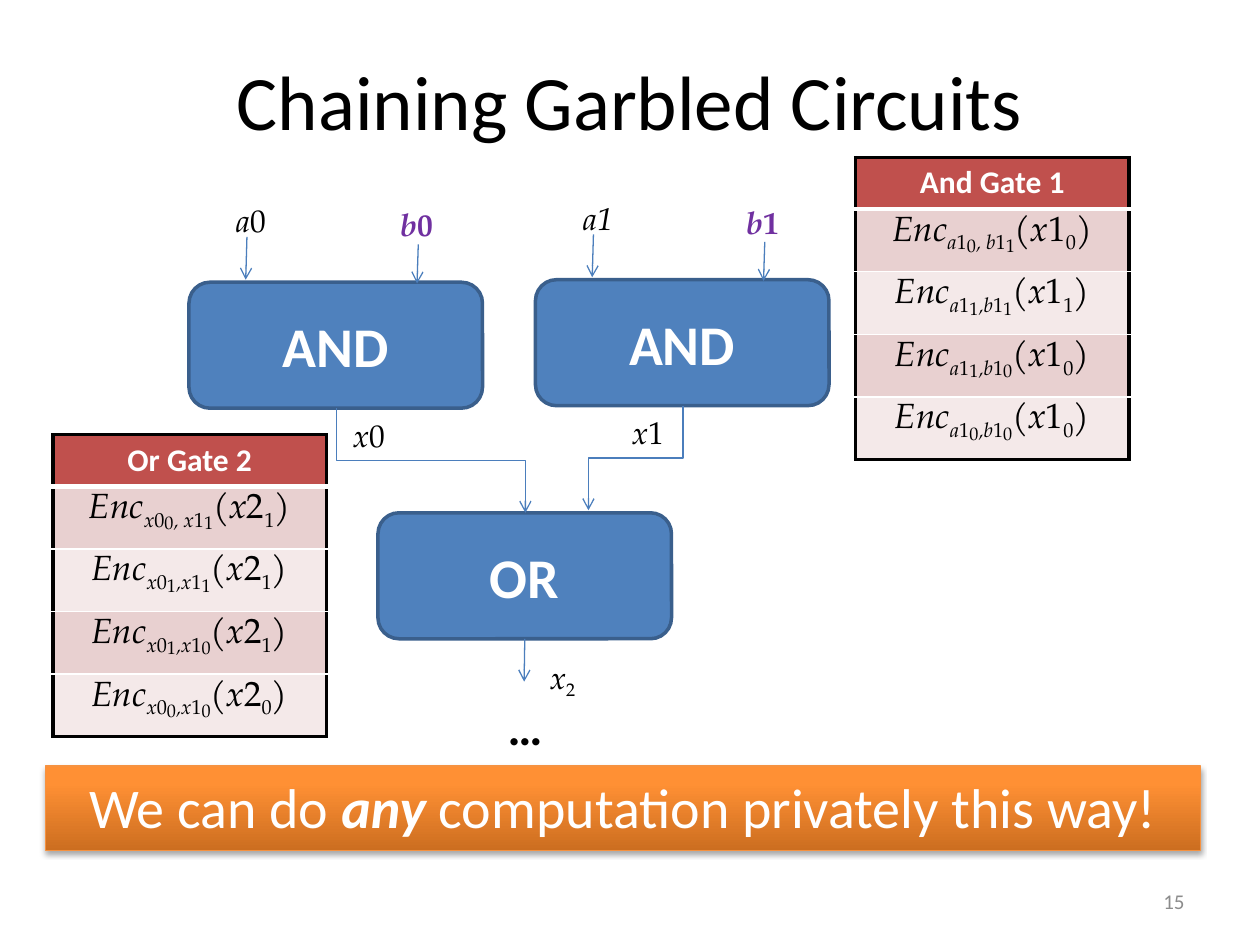
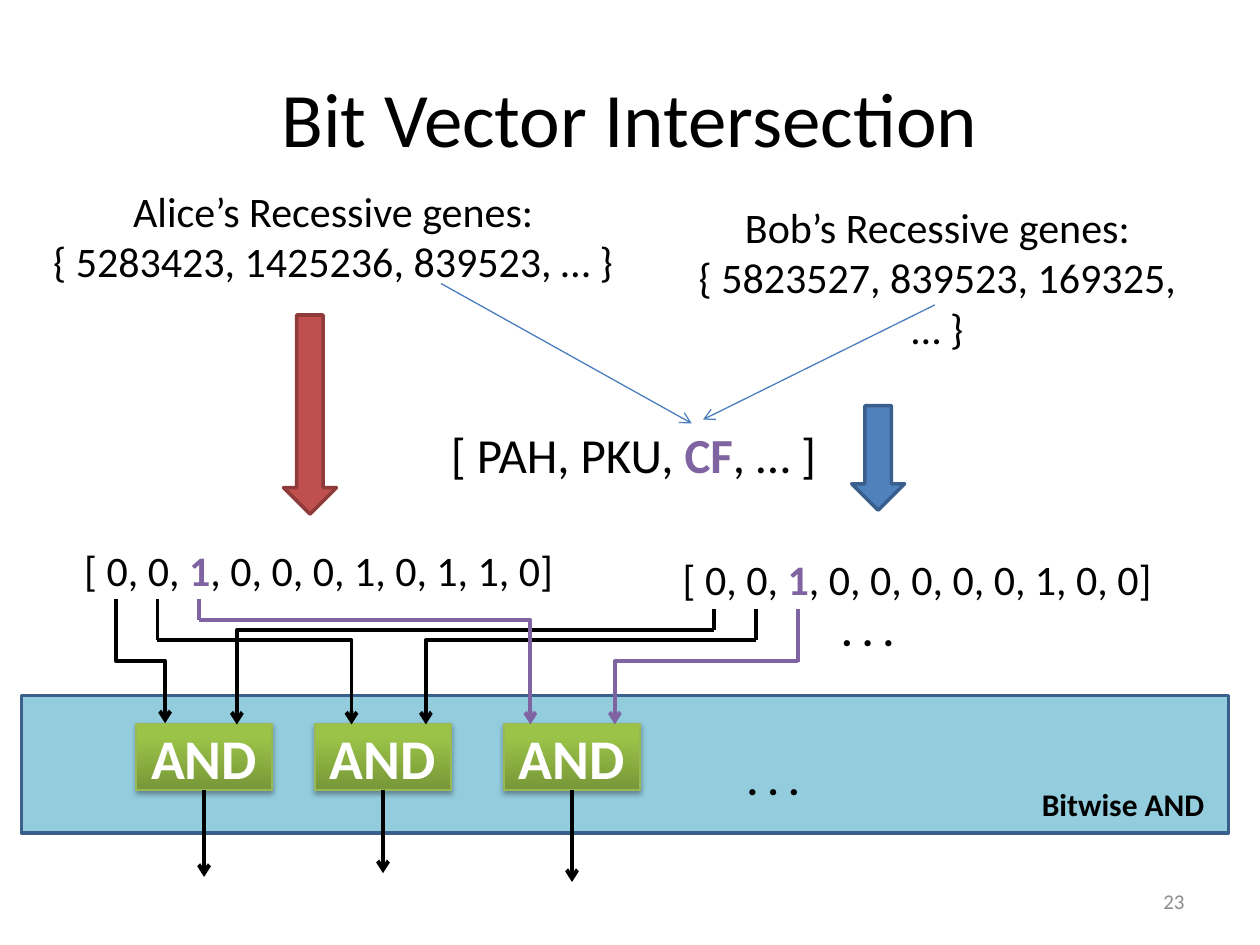
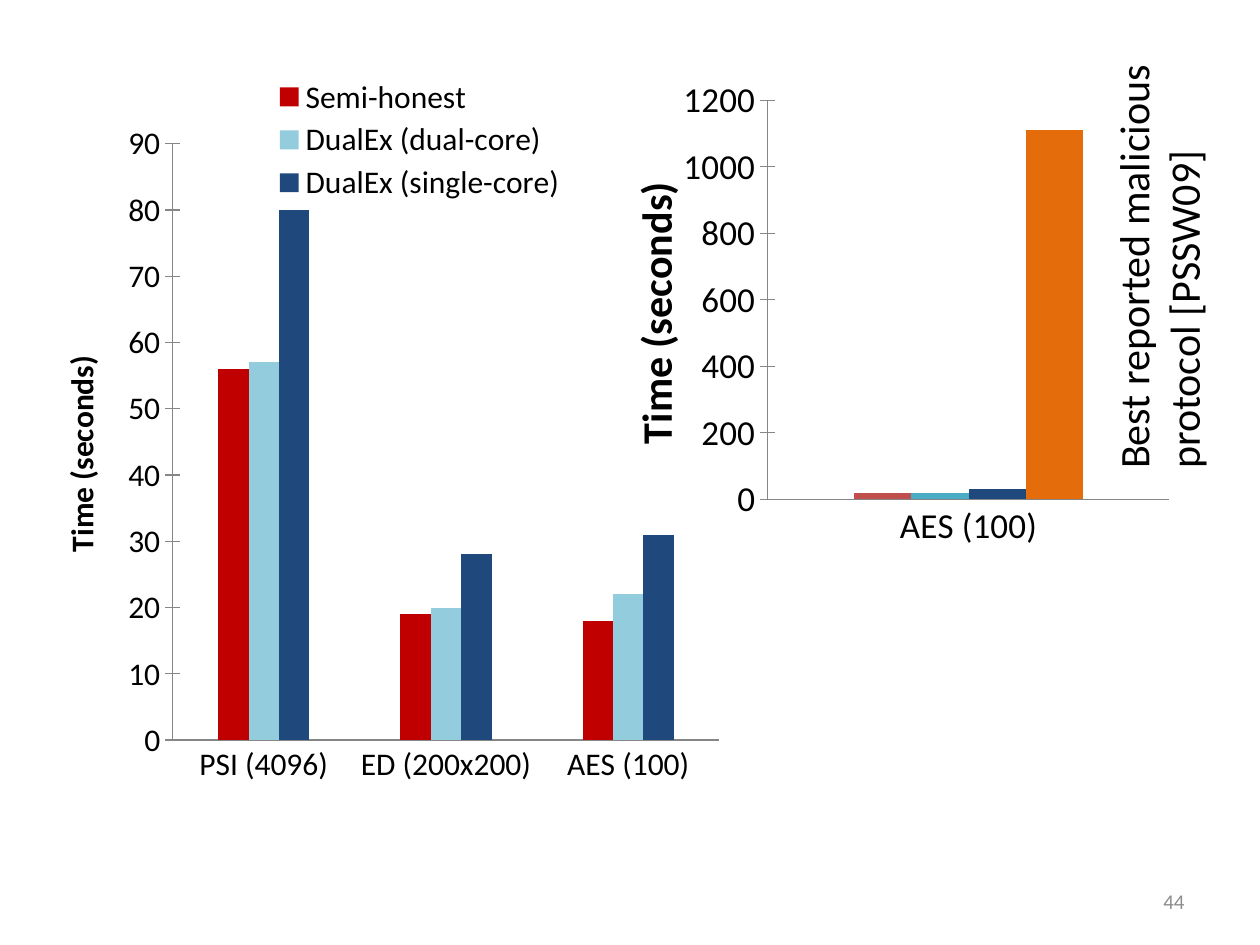
from dataclasses import dataclass
from typing import NamedTuple

from lxml.etree import SubElement
from pptx import Presentation
from pptx.chart.data import CategoryChartData
from pptx.dml.color import RGBColor
from pptx.enum.chart import XL_CHART_TYPE, XL_LEGEND_POSITION, XL_TICK_MARK
from pptx.enum.shapes import MSO_CONNECTOR, MSO_SHAPE
from pptx.enum.text import MSO_ANCHOR, MSO_AUTO_SIZE, PP_ALIGN
from pptx.oxml.ns import qn
from pptx.util import Inches, Pt

# Enum members
COLUMN = XL_CHART_TYPE.COLUMN_CLUSTERED
KEY_RIGHT = XL_LEGEND_POSITION.RIGHT
NO_TICK, CROSS = XL_TICK_MARK.NONE, XL_TICK_MARK.CROSS
STRAIGHT, ELBOW = MSO_CONNECTOR.STRAIGHT, MSO_CONNECTOR.ELBOW
RECT, ROUND, DOWN = MSO_SHAPE.RECTANGLE, MSO_SHAPE.ROUNDED_RECTANGLE, MSO_SHAPE.DOWN_ARROW
TOP, MIDDLE = MSO_ANCHOR.TOP, MSO_ANCHOR.MIDDLE
FIT, FIXED = MSO_AUTO_SIZE.SHAPE_TO_FIT_TEXT, MSO_AUTO_SIZE.NONE
LEFT, CENTER, RIGHT = PP_ALIGN.LEFT, PP_ALIGN.CENTER, PP_ALIGN.RIGHT

# Colours
BLACK, WHITE = RGBColor(0, 0, 0), RGBColor(255, 255, 255)
GREY, AXIS = RGBColor(0x8C, 0x8C, 0x8C), RGBColor(0x86, 0x86, 0x86)
BLUE, EDGE, WIRE = RGBColor(0x4F, 0x81, 0xBD), RGBColor(0x3A, 0x5F, 0x8C), RGBColor(0x4B, 0x7E, 0xBC)
RED, MAROON = RGBColor(0xC0, 0x50, 0x4D), RGBColor(0x8E, 0x3B, 0x39)
ROSE, BLUSH = RGBColor(0xE8, 0xD0, 0xD0), RGBColor(0xF4, 0xE9, 0xE9)
PURPLE, VIOLET = RGBColor(0x80, 0x64, 0xA2), RGBColor(0x70, 0x30, 0xA0)
SKY, NAVY, TEAL = RGBColor(0x93, 0xCD, 0xDD), RGBColor(0x1F, 0x49, 0x7D), RGBColor(0x4B, 0xAC, 0xC6)
CRIMSON, ORANGE = RGBColor(0xC0, 0, 0), RGBColor(0xE4, 0x6C, 0x0A)

# Text formats
SANS = {"name": "Calibri", "color": BLACK}
MATH = {"name": "TeX Gyre Pagella", "color": BLACK, "size": Pt(18)}
HEAD = SANS | {"size": Pt(44)}
PAGE = SANS | {"size": Pt(12), "color": GREY}
TEXT = SANS | {"size": Pt(24)}
LOUD = SANS | {"size": Pt(32), "color": WHITE}
BOLD, SLANT = {"bold": True}, {"italic": True}
MARK = {"bold": True, "color": PURPLE}

Runs = list[tuple[str, dict]]


class Box(NamedTuple):
    x: float
    y: float
    w: float
    h: float

    def emu(self) -> list:
        return [Inches(side) for side in self]


class Glow(NamedTuple):
    """Gradient from the bottom up, with its outline."""
    dark: RGBColor
    light: RGBColor
    edge: RGBColor


class Wire(NamedTuple):
    x: float
    top: float
    bend: float
    end: float
    color: RGBColor


class Bar(NamedTuple):
    name: str
    vals: list
    color: RGBColor


@dataclass
class Graph:
    box: Box
    cats: list
    bars: list
    peak: int
    step: int
    size: int
    head: int
    frame: Box


AMBER = Glow(RGBColor(0xCC, 0x6E, 0x20), RGBColor(0xFF, 0x90, 0x34), RGBColor(0xF6, 0x92, 0x40))
GREEN = Glow(RGBColor(0x77, 0x97, 0x37), RGBColor(0x9B, 0xC3, 0x48), RGBColor(0x98, 0xB9, 0x55))


# Text
def write(para, runs: Runs, base: dict, align=LEFT) -> None:
    para.alignment = align
    for text, extra in runs:
        run = para.add_run()
        run.text = text
        for key, val in (base | extra).items():
            if key == "color":
                run.font.color.rgb = val
            elif key == "drop":
                run._r.get_or_add_rPr().set("baseline", str(val * -1000))
            else:
                setattr(run.font, key, val)


def label(slide, box: Box, lines: list[Runs], base: dict, align=LEFT, wrap=False, anchor=TOP, fit=FIT):
    shape = slide.shapes.add_textbox(*box.emu())
    frame = shape.text_frame
    for key, val in {"word_wrap": wrap, "auto_size": fit, "vertical_anchor": anchor}.items():
        setattr(frame, key, val)
    for i, runs in enumerate(lines):
        write(frame.add_paragraph() if i else frame.paragraphs[0], runs, base, align)
    return shape


def start(deck, kind: int, page: int, title: str = "", top: float = 0):
    slide = deck.slides.add_slide(deck.slide_layouts[kind])
    if title:
        head = slide.shapes.title
        head.left, head.top, head.width, head.height = Box(0.5, top, 9, 1.25).emu()
        head.text_frame.vertical_anchor = MIDDLE
        write(head.text_frame.paragraphs[0], [(title, {})], HEAD, CENTER)
    label(slide, Box(7.17, 6.95, 2.33, 0.4), [[(str(page), {})]], PAGE, RIGHT, True, MIDDLE, FIXED)
    return slide


# Shapes
def paint(shape, fill: RGBColor, edge: RGBColor, width: float) -> None:
    shape.shadow.inherit = False
    shape.fill.solid()
    shape.fill.fore_color.rgb = fill
    shape.line.color.rgb, shape.line.width = edge, Pt(width)


def shine(shape, glow: Glow) -> None:
    paint(shape, glow.dark, glow.edge, 0.75)
    shape.fill.gradient()
    shape.fill.gradient_angle = 90
    for stop, color, spot in zip(shape.fill.gradient_stops, glow, (0, 0.8)):
        stop.color.rgb, stop.position = color, spot
    cast = SubElement(shape.element.spPr.find(qn("a:effectLst")), qn("a:outerShdw"),
                      blurRad=str(Pt(3.1)), dist=str(Pt(1.8)), dir="5400000", rotWithShape="0")
    tint = SubElement(cast, qn("a:srgbClr"), val=str(BLACK))
    SubElement(tint, qn("a:alpha"), val="35000")


def block(slide, kind, box: Box, fill: RGBColor, edge: RGBColor):
    shape = slide.shapes.add_shape(kind, *box.emu())
    paint(shape, fill, edge, 2)
    return shape


def gate(slide, box: Box, text: str, glow: Glow | None = None):
    shape = block(slide, RECT if glow else ROUND, box, BLUE, EDGE)
    if glow:
        shine(shape, glow)
    shape.text_frame.vertical_anchor = MIDDLE
    write(shape.text_frame.paragraphs[0], [(text, BOLD)], LOUD, CENTER)
    return shape


# Lines
def link(slide, x1: float, y1: float, x2: float, y2: float, color=WIRE, width=0.75,
         tip=True, kind=STRAIGHT):
    line = slide.shapes.add_connector(kind, Inches(x1), Inches(y1), Inches(x2), Inches(y2))
    line.line.color.rgb, line.line.width = color, Pt(width)
    props = line.element.spPr
    if tip:
        SubElement(props.find(qn("a:ln")), qn("a:tailEnd"), type="arrow")
    SubElement(props, qn("a:effectLst"))
    return line


def step(slide, x1: float, y1: float, x2: float, y2: float, color=WIRE, width=0.75) -> None:
    """Down, across at half height, and down again."""
    line = link(slide, x1, y1, x2, y2, color, width, kind=ELBOW)
    wide, tall = abs(x2 - x1), y2 - y1
    line.left, line.top = Inches((x1 + x2 - tall) / 2), Inches((y1 + y2 - wide) / 2)
    line.width, line.height = Inches(tall), Inches(wide)
    frame = line.element.spPr.find(qn("a:xfrm"))
    frame.set("rot", str((270 if x2 > x1 else 90) * 60000))
    frame.set("flipH", str(int(x2 > x1)))


def turn(slide, wire: Wire) -> None:
    """Down without a tip, then across and down to the gate."""
    link(slide, wire.x, wire.top, wire.x, wire.bend, wire.color, 2.25, False)
    line = link(slide, wire.x, wire.bend, wire.end, 5.75, wire.color, 2.25, kind=ELBOW)
    line.element.spPr.find(qn("a:prstGeom")).set("prst", "bentConnector2")
    if wire.end < wire.x:
        frame = line.element.spPr.find(qn("a:xfrm"))
        for key, val in {"rot": "10800000", "flipH": "0", "flipV": "1"}.items():
            frame.set(key, val)


# Tables
def code(left: str, right: str, out: str, bits: str, gap: str) -> Runs:
    """Encryption of an output under two input keys."""
    low, tiny = {"drop": 25}, {"drop": 36, "size": Pt(18)}
    return [("Enc", SLANT), (left[0], SLANT | low), (left[1], low), (bits[0], tiny),
            (gap, SLANT | low), (right[0], SLANT | low), (right[1], low), (bits[1], tiny),
            ("(", {}), (out[0], SLANT), (out[1], {}), (bits[2], low), (")", {})]


def border(cell, sides: dict) -> None:
    props = cell._tc.get_or_add_tcPr()
    for side, (color, width) in sides.items():
        line = SubElement(props, qn(f"a:ln{side}"), w=str(Pt(width)))
        SubElement(SubElement(line, qn("a:solidFill")), qn("a:srgbClr"), val=str(color))


def grid(slide, x: float, y: float, title: str, keys: tuple, rows: list[str]) -> None:
    count = len(rows)
    table = slide.shapes.add_table(count + 1, 1, *Box(x, y, 2.17, 2.3).emu()).table
    thick, thin = (BLACK, 2.25), (WHITE, 1)
    for i in range(count + 1):
        table.rows[i].height = Inches(0.47 if i else 0.41)
        cell = table.cell(i, 0)
        foot = thick if i == count else thin
        border(cell, {"L": thick, "R": thick, "T": thin if i else thick,
                      "B": foot if i else (WHITE, 3)})
        cell.fill.solid()
        cell.fill.fore_color.rgb = (ROSE if i % 2 else BLUSH) if i else RED
        para = cell.text_frame.paragraphs[0]
        if i:
            runs = code(*keys, rows[i - 1], ", " if i == 1 else ",")
            write(para, runs, MATH | {"size": Pt(20), "bold": False}, CENTER)
        else:
            write(para, [(title, BOLD)], LOUD | {"size": Pt(18)}, CENTER)


# Charts
def place(part, spot: Box, at: int, inner: bool) -> None:
    for old in part.findall(qn("c:layout")):
        part.remove(old)
    frame = SubElement(part, qn("c:layout"))
    part.insert(at, frame)
    form = SubElement(frame, qn("c:manualLayout"))
    if inner:
        SubElement(form, qn("c:layoutTarget"), val="inner")
    for key in "xy":
        SubElement(form, qn(f"c:{key}Mode"), val="edge")
    for key, val in spot._asdict().items():
        SubElement(form, qn(f"c:{key}"), val=str(val))


def plot(slide, graph: Graph):
    data = CategoryChartData()
    data.categories = graph.cats
    for bar in graph.bars:
        data.add_series(bar.name, bar.vals)
    chart = slide.shapes.add_chart(COLUMN, *graph.box.emu(), data).chart
    chart.has_title = chart.has_legend = False
    for key, val in {"name": "Calibri", "size": Pt(graph.size)}.items():
        setattr(chart.font, key, val)
    chart.font.color.rgb = BLACK
    bars = chart.plots[0]
    bars.gap_width, bars.overlap, bars.vary_by_categories = 300, 0, False
    for bar, item in zip(graph.bars, bars.series):
        item.format.fill.solid()
        item.format.fill.fore_color.rgb = bar.color
    for axis, tick in ((chart.category_axis, NO_TICK), (chart.value_axis, CROSS)):
        axis.has_major_gridlines = False
        axis.major_tick_mark, axis.minor_tick_mark = tick, NO_TICK
        axis.format.line.color.rgb = AXIS
        axis.tick_labels.font.size = Pt(graph.size)
    scale = chart.value_axis
    for key, val in {"minimum_scale": 0, "maximum_scale": graph.peak, "major_unit": graph.step}.items():
        setattr(scale, key, val)
    write(scale.axis_title.text_frame.paragraphs[0], [("Time (seconds)", BOLD)],
          SANS | {"size": Pt(graph.head)}, CENTER)
    place(chart.element.find(".//" + qn("c:plotArea")), graph.frame, 0, True)
    return chart


# Slides
def chain(deck) -> None:
    slide = start(deck, 1, 15, "Chaining Garbled Circuits", 0.17)
    for i, (x, y) in enumerate([(1.5, 2.24), (4.25, 2.22)]):
        gate(slide, Box(x, y, 2.33, 1), "AND")
        for dx, dy, end in ((0.46, -0.36, -0.02), (1.82, -0.3, 0.01)):
            link(slide, x + dx, y + dy, x + dx - 0.01, y + end)
        label(slide, Box(x + 0.28, y - 0.69, 0.44, 0.4),
              [[("a", SLANT), (str(i), {"italic": i == 1})]], MATH)
        label(slide, Box(x + 1.58, y - 0.66, 0.46, 0.4),
              [[("b", SLANT), (str(i), {})]], MATH | BOLD | {"color": VIOLET})
        label(slide, Box((2.71, 4.92)[i], y + 1.01, 0.45, 0.4), [[("x", SLANT), (str(i), {})]], MATH)
    last = gate(slide, Box(3, 4.07, 2.33, 1), "OR")
    link(slide, 4.17, 5.07, 4.16, 5.41).begin_connect(last, 2)
    label(slide, Box(4.27, 5.17, 0.41, 0.4), [[("x", SLANT), ("2", {"drop": 25})]], MATH)
    step(slide, 5.42, 3.22, 4.67, 4.05)
    step(slide, 2.67, 3.24, 4.17, 4.07)
    grid(slide, 6.79, 1.25, "And Gate 1", ("a1", "b1", "x1"), ["010", "111", "100", "000"])
    grid(slide, 0.42, 3.45, "Or Gate 2", ("x0", "x1", "x2"), ["011", "111", "101", "000"])
    label(slide, Box(3.93, 5.48, 0.48, 0.57), [[("…", BOLD)]], SANS | {"size": Pt(28)})

    # Closing banner
    body = slide.placeholders[1]
    body.left, body.top, body.width, body.height = Box(0.36, 6.08, 9.17, 0.67).emu()
    shine(body, AMBER)
    body.text_frame.auto_size = FIXED
    para = body.text_frame.paragraphs[0]
    props = para._p.get_or_add_pPr()
    for key in ("marL", "indent"):
        props.set(key, "0")
    SubElement(props, qn("a:buNone"))
    para.space_before = Pt(0)
    write(para, [("We can do ", {}), ("any", BOLD | SLANT), (" computation privately this way!", {})],
          LOUD, CENTER)


def bits(deck) -> None:
    slide = start(deck, 5, 23, "Bit Vector Intersection", 0.3)
    label(slide, Box(0.23, 1.42, 4.83, 0.91), [[("Alice’s Recessive genes:", {})],
          [("{ 5283423, 1425236, 839523, … }", {})]], TEXT, CENTER)
    bob = label(slide, Box(5.31, 1.55, 4.49, 0.91), [[("Bob’s Recessive genes:", {})],
                [("{ 5823527, 839523, 169325, … }", {})]], TEXT, CENTER, True)
    bob.text_frame.paragraphs[0]._p.get_or_add_pPr().set("marR", str(Inches(0.23)))
    block(slide, DOWN, Box(2.25, 2.5, 0.42, 1.58), RED, MAROON)
    block(slide, DOWN, Box(6.76, 3.22, 0.42, 0.83), BLUE, EDGE)
    for x, y, tail in ((0.57, 4.27, "0, 0, 0, 1, 0, 1, 1, 0"), (5.32, 4.34, "0, 0, 0, 0, 0, 1, 0, 0")):
        label(slide, Box(x, y, 3.95, 0.5), [[("[ 0, 0, ", {}), ("1", MARK), (f", {tail}]", {})]], TEXT)
    label(slide, Box(3.48, 3.32, 3.14, 0.57),
          [[("[ PAH, PKU, ", {}), ("CF", MARK), (", … ]", {})]], SANS | {"size": Pt(28)})
    link(slide, 3.5, 2.25, 5.49, 3.36)
    link(slide, 7.42, 2.42, 5.58, 3.33)

    # Band of gates
    block(slide, RECT, Box(0.17, 5.52, 9.58, 1.09), SKY, EDGE)
    for x, end in ((1.08, 6.96), (2.5, 6.93), (4, 7)):
        shape = gate(slide, Box(x, 5.74, 1.08, 0.53), "AND", GREEN)
        link(slide, x + 0.54, 6.27, x + 0.54, end, BLACK, 2.25).begin_connect(shape, 2)
    step(slide, 0.92, 4.75, 1.31, 5.74, BLACK, 2.25)
    for wire in (Wire(5.67, 4.83, 5, 1.88, BLACK), Wire(1.25, 4.75, 5.08, 2.79, BLACK),
                 Wire(6, 4.83, 5.08, 3.38, BLACK), Wire(1.58, 4.75, 4.92, 4.21, PURPLE),
                 Wire(6.33, 4.83, 5.25, 4.88, PURPLE)):
        turn(slide, wire)
    for x, y in ((5.83, 5.93), (6.58, 4.75)):
        label(slide, Box(x, y, 0.62, 0.5), [[(". . .", BOLD)]], TEXT)
    label(slide, Box(8.17, 6.18, 1.5, 0.4), [[("Bitwise AND", BOLD)]], SANS | {"size": Pt(18)})


def times(deck) -> None:
    slide = start(deck, 6, 44)
    chart = plot(slide, Graph(
        Box(0.25, 0.58, 7, 6.23), ["PSI (4096)", "ED (200x200)", "AES (100)"],
        [Bar("Semi-honest", [56, 19, 18], CRIMSON),
         Bar("DualEx (dual-core)", [57, 20, 22], SKY),
         Bar("DualEx (single-core)", [80, 28, 31], NAVY)],
        90, 10, 18, 18, Box(0.16, 0.09, 0.62, 0.76)))
    chart.has_legend = True
    chart.legend.position = KEY_RIGHT
    chart.legend.include_in_layout = False
    place(chart.legend._element, Box(0.26, 0, 0.36, 0.17), 1, False)
    plot(slide, Graph(
        Box(4.92, 0.42, 4.69, 4.17), ["AES (100)"],
        [Bar(f"Series {i}", [val], color) for i, (val, color) in
         enumerate([(20, RED), (20, TEAL), (30, NAVY), (1110, ORANGE)], 1)],
        1200, 200, 20, 24, Box(0.25, 0.09, 0.68, 0.76)))
    note = label(slide, Box(7.33, 1.5, 3.73, 0.91),
                 [[("Best reported malicious protocol [PSSW09]", {})]], TEXT, wrap=True)
    note.rotation = 270


def main() -> None:
    deck = Presentation()
    deck.slide_width, deck.slide_height = Inches(10), Inches(7.5)
    for build in (chain, bits, times):
        build(deck)
    deck.save("out.pptx")


if __name__ == "__main__":
    main()
